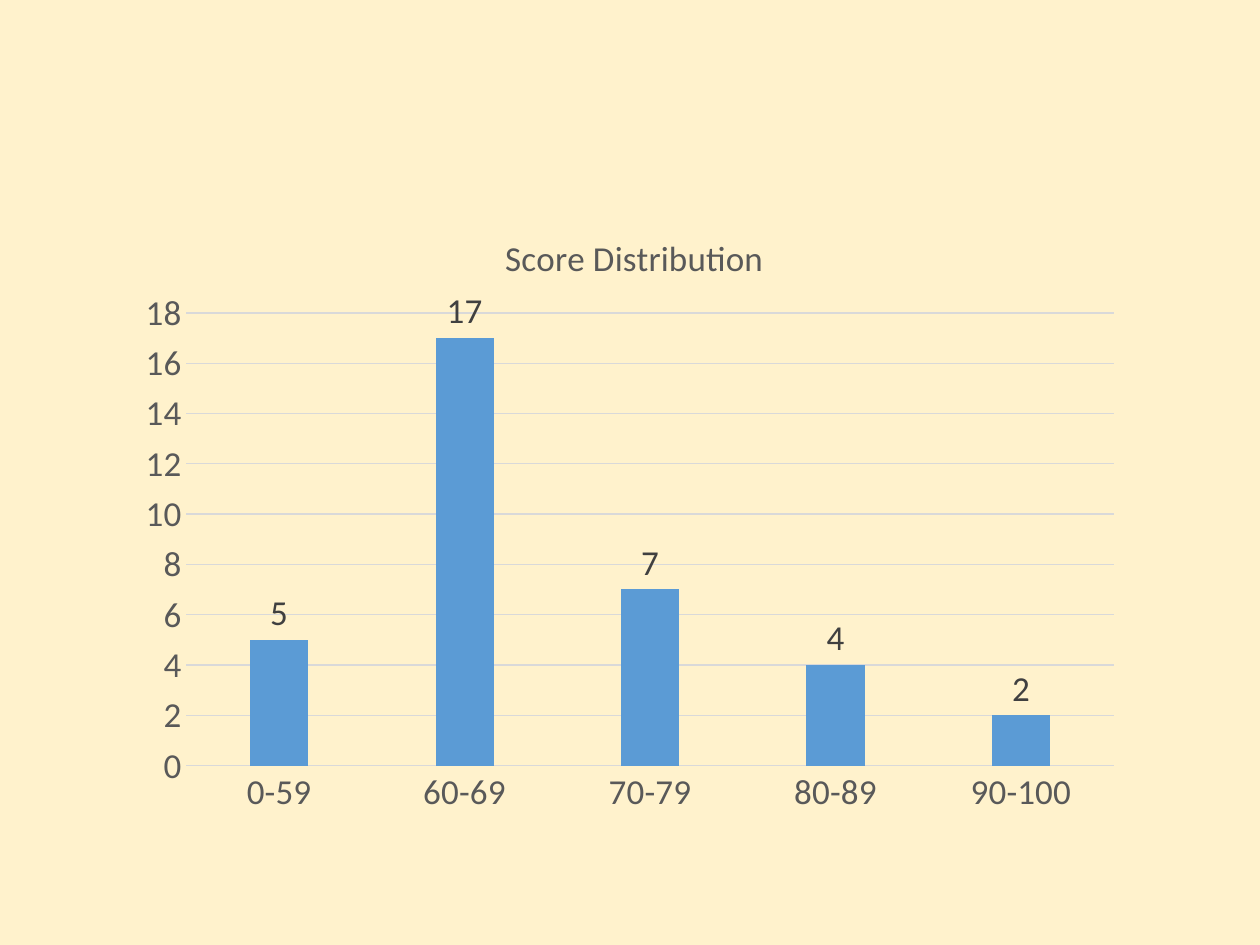
import pptx
import pptx.util
import pptx.dml.color
import pptx.chart.data
import pptx.enum.chart
import pptx.oxml
import pptx.oxml.ns

FONT = "Calibri"
SCORES = {"0-59": 5, "60-69": 17, "70-79": 7, "80-89": 4, "90-100": 2}


def color(value):
    """Turn a hex string into an RGB colour."""
    return pptx.dml.color.RGBColor.from_string(value)


def style_font(font, size=20, rgb="595959", bold=False):
    """Format a chart font."""
    font.name = FONT
    font.size = pptx.util.Pt(size)
    font.bold = bold
    font.color.rgb = color(rgb)


def add_text(tf, text, **fmt):
    """Write one formatted run into a text frame."""
    r = tf.paragraphs[0].add_run()
    r.text = text
    style_font(r.font, **fmt)


def style_line(line, rgb="D9D9D9", width=0.75):
    """Give a line its colour and width."""
    line.color.rgb = color(rgb)
    line.width = pptx.util.Pt(width)


def set_layout(element, index, target=None, **fractions):
    """Place a chart part by fractions of the chart's size."""
    for old in element.findall(pptx.oxml.ns.qn("c:layout")):
        element.remove(old)
    values = {"layoutTarget": target} if target else {}
    values.update(xMode="edge", yMode="edge", **fractions)
    items = "".join(f'<c:{k} val="{v}"/>' for k, v in values.items())
    element.insert(index, pptx.oxml.parse_xml(
        f'<c:layout {pptx.oxml.ns.nsdecls("c")}>'
        f"<c:manualLayout>{items}</c:manualLayout></c:layout>"))


def style_axis(axis):
    """Remove tick marks and format the tick labels."""
    axis.major_tick_mark = pptx.enum.chart.XL_TICK_MARK.NONE
    axis.minor_tick_mark = pptx.enum.chart.XL_TICK_MARK.NONE
    style_font(axis.tick_labels.font)


def style_columns(plot):
    """Format the columns and their value labels."""
    plot.gap_width = 219
    plot.overlap = -27
    plot.vary_by_categories = False
    series = plot.series[0]
    series.format.fill.solid()
    series.format.fill.fore_color.rgb = color("5B9BD5")
    labels = series.data_labels
    labels.show_value = True
    labels.position = pptx.enum.chart.XL_LABEL_POSITION.OUTSIDE_END
    style_font(labels.font, rgb="404040")


def add_column_chart(s, title, scores, left, top, width, height):
    """Add a column chart, with lengths in centimetres."""
    data = pptx.chart.data.CategoryChartData()
    data.categories = list(scores)
    data.add_series("Series 1", list(scores.values()))
    box = [pptx.util.Cm(v) for v in (left, top, width, height)]
    chart = s.shapes.add_chart(
        pptx.enum.chart.XL_CHART_TYPE.COLUMN_CLUSTERED, *box, data).chart
    style_font(chart.font, size=10, rgb="000000")
    chart.has_legend = False
    chart.has_title = True
    add_text(chart.chart_title.text_frame, title)
    style_axis(chart.category_axis)
    style_line(chart.category_axis.format.line)
    axis = chart.value_axis
    style_axis(axis)
    axis.minimum_scale, axis.maximum_scale, axis.major_unit = 0, 18, 2
    axis.format.line.fill.background()
    style_line(axis.major_gridlines.format.line)
    style_columns(chart.plots[0])
    return chart


def main():
    """Build the score distribution slide."""
    prs = pptx.Presentation()
    prs.slide_width = pptx.util.Cm(25.4)
    prs.slide_height = pptx.util.Cm(19.05)
    s = prs.slides.add_slide(prs.slide_layouts[6])
    s.background.fill.solid()
    s.background.fill.fore_color.rgb = color("FFF2CC")
    chart = add_column_chart(s, "Score Distribution", SCORES, 2.54, 3.94, 20.32, 12.73)
    plot_area = chart.plots[0]._element.getparent()
    set_layout(chart.chart_title._element, 1, x=0.37, y=0.05)
    set_layout(plot_area, 0, "inner", x=0.06, y=0.186, w=0.92, h=0.717)
    prs.save("out.pptx")


if __name__ == "__main__":
    main()
